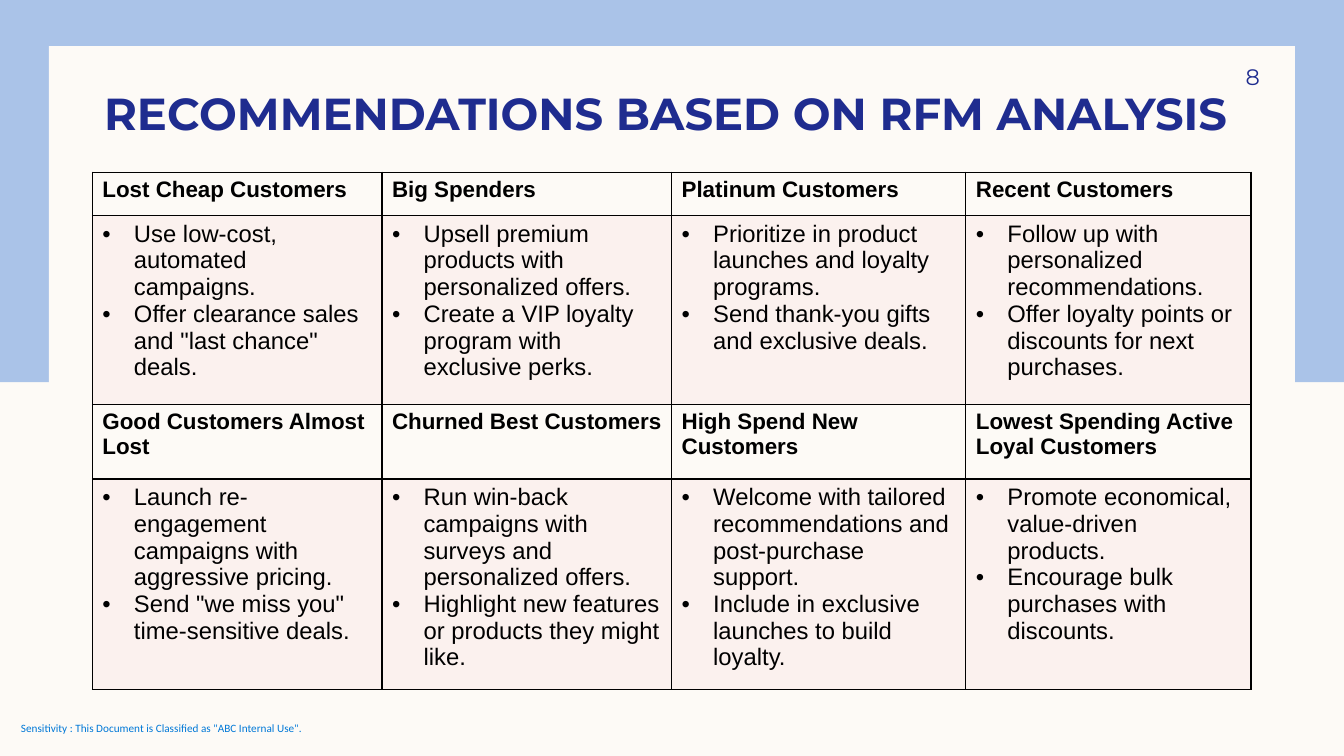
from lxml.etree import SubElement
from pptx import Presentation
from pptx.dml.color import RGBColor
from pptx.enum.shapes import MSO_SHAPE as Preset
from pptx.enum.text import MSO_ANCHOR as Anchor, PP_ALIGN as Align
from pptx.oxml import parse_xml
from pptx.oxml.ns import nsdecls, qn
from pptx.util import Pt

CREAM = RGBColor(0xFD, 0xFA, 0xF6)
SKY = RGBColor(0xAA, 0xC3, 0xE8)
NAVY = RGBColor(0x1F, 0x2C, 0x8F)
NOTICE_BLUE = RGBColor(0x00, 0x78, 0xD7)
BLUSH = RGBColor(0xF5, 0xCD, 0xCE)
BLACK = RGBColor(0x00, 0x00, 0x00)

SEGMENT_BANDS = [
    {
        "Lost Cheap Customers": [
            "Use low-cost, automated campaigns.",
            'Offer clearance sales and "last chance" deals.',
        ],
        "Big Spenders": [
            "Upsell premium products with personalized offers.",
            "Create a VIP loyalty program with exclusive perks.",
        ],
        "Platinum Customers": [
            "Prioritize in product launches and loyalty programs.",
            "Send thank-you gifts and exclusive deals.",
        ],
        "Recent Customers": [
            "Follow up with personalized recommendations.",
            "Offer loyalty points or discounts for next purchases.",
        ],
    },
    {
        "Good Customers Almost Lost": [
            "Launch re-engagement campaigns with aggressive pricing.",
            'Send "we miss you" time-sensitive deals.',
        ],
        "Churned Best Customers": [
            "Run win-back campaigns with surveys and personalized offers.",
            "Highlight new features or products they might like.",
        ],
        "High Spend New Customers": [
            "Welcome with tailored recommendations and post-purchase support.",
            "Include in exclusive launches to build loyalty.",
        ],
        "Lowest Spending Active Loyal Customers": [
            "Promote economical, value-driven products.",
            "Encourage bulk purchases with discounts.",
        ],
    },
]


class SlideBuilder:
    heading_font = "Montserrat"
    table_font = "Arial"
    notice_font = "Calibri"
    bullet_indent = Pt(22.5)

    def __init__(self, slide):
        self.slide = slide

    def background(self, color):
        fill = self.slide.background.fill
        fill.solid()
        fill.fore_color.rgb = color

    def panel(self, left, top, width, height, color):
        panel = self.slide.shapes.add_shape(
            Preset.RECTANGLE, Pt(left), Pt(top), Pt(width), Pt(height))
        panel.shadow.inherit = False
        panel.fill.solid()
        panel.fill.fore_color.rgb = color
        panel.line.fill.background()

    def style(self, paragraph, font, size, color, bold=False):
        for run in paragraph.runs:
            run.font.name = font
            run.font.size = Pt(size)
            run.font.bold = bold
            run.font.color.rgb = color

    def label(self, text, box, insets, font, size, color, bold=False,
              align=Align.LEFT, anchor=Anchor.TOP, wrap=True):
        frame = self.slide.shapes.add_textbox(*map(Pt, box)).text_frame
        frame.word_wrap = wrap
        frame.vertical_anchor = anchor
        (frame.margin_left, frame.margin_top,
         frame.margin_right, frame.margin_bottom) = map(Pt, insets)
        frame.text = text
        frame.paragraphs[0].alignment = align
        self.style(frame.paragraphs[0], font, size, color, bold)

    def border(self, cell):
        properties = cell._tc.get_or_add_tcPr()
        for index, side in enumerate("LRTB"):
            properties.insert(index, parse_xml(
                f'<a:ln{side} {nsdecls("a")} w="{Pt(1)}"><a:solidFill>'
                f'<a:srgbClr val="{BLACK}"/></a:solidFill></a:ln{side}>'))

    def bullet(self, paragraph):
        properties = paragraph._p.get_or_add_pPr()
        properties.set("marL", str(self.bullet_indent))
        properties.set("indent", str(-self.bullet_indent))
        SubElement(properties, qn("a:buFont")).set("typeface", self.table_font)
        SubElement(properties, qn("a:buChar")).set("char", "•")

    def segment_cell(self, cell, segment):
        cell.text_frame.text = segment
        self.style(cell.text_frame.paragraphs[0], self.table_font, 16, BLACK, True)
        cell.fill.background()
        self.border(cell)

    def action_cell(self, cell, actions):
        cell.text_frame.text = "\n".join(actions)
        for paragraph in cell.text_frame.paragraphs:
            self.style(paragraph, self.table_font, 17, BLACK)
            self.bullet(paragraph)
        cell.fill.solid()
        cell.fill.fore_color.rgb = BLUSH
        tint = cell._tc.tcPr.find(f'{qn("a:solidFill")}/{qn("a:srgbClr")}')
        SubElement(tint, qn("a:alpha")).set("val", "20000")
        self.border(cell)

    def segment_table(self, left, top, widths, heights, bands):
        table = self.slide.shapes.add_table(
            len(heights), len(widths), Pt(left), Pt(top),
            Pt(sum(widths)), Pt(sum(heights))).table
        table.first_row = False
        table.horz_banding = False
        for column, width in zip(table.columns, widths):
            column.width = Pt(width)
        for row, height in zip(table.rows, heights):
            row.height = Pt(height)
        for band_index, band in enumerate(bands):
            for column, (segment, actions) in enumerate(band.items()):
                self.segment_cell(table.cell(2 * band_index, column), segment)
                self.action_cell(table.cell(2 * band_index + 1, column), actions)


def main():
    deck = Presentation()
    deck.slide_width, deck.slide_height = Pt(960), Pt(540)
    page = SlideBuilder(deck.slides.add_slide(deck.slide_layouts[6]))

    page.background(CREAM)
    page.label('Sensitivity : This Document is Classified as "ABC Internal Use".',
               (15, 515.5, 201.6, 9.5), (0, 0, 0, 0),
               page.notice_font, 8, NOTICE_BLUE, wrap=False)
    page.panel(-2, 0, 962, 273, SKY)
    page.panel(34.9, 33, 890, 474.5, CREAM)
    page.label("RECOMMENDATIONS BASED ON RFM ANALYSIS ",
               (53.3, 47.5, 853.9, 51.8), (7.2, 0, 7.2, 0),
               page.heading_font, 32, NAVY, True, Align.CENTER, Anchor.BOTTOM)
    page.segment_table(66, 123, (206.9, 206.9, 210.2, 203.7),
                       (31, 134.8, 53.4, 140), SEGMENT_BANDS)
    page.label("8", (815.8, 36, 84.2, 37.4), (7.2, 3.6, 0, 3.6),
               page.heading_font, 16, NAVY, align=Align.RIGHT, anchor=Anchor.MIDDLE)
    deck.save("out.pptx")


if __name__ == "__main__":
    main()
